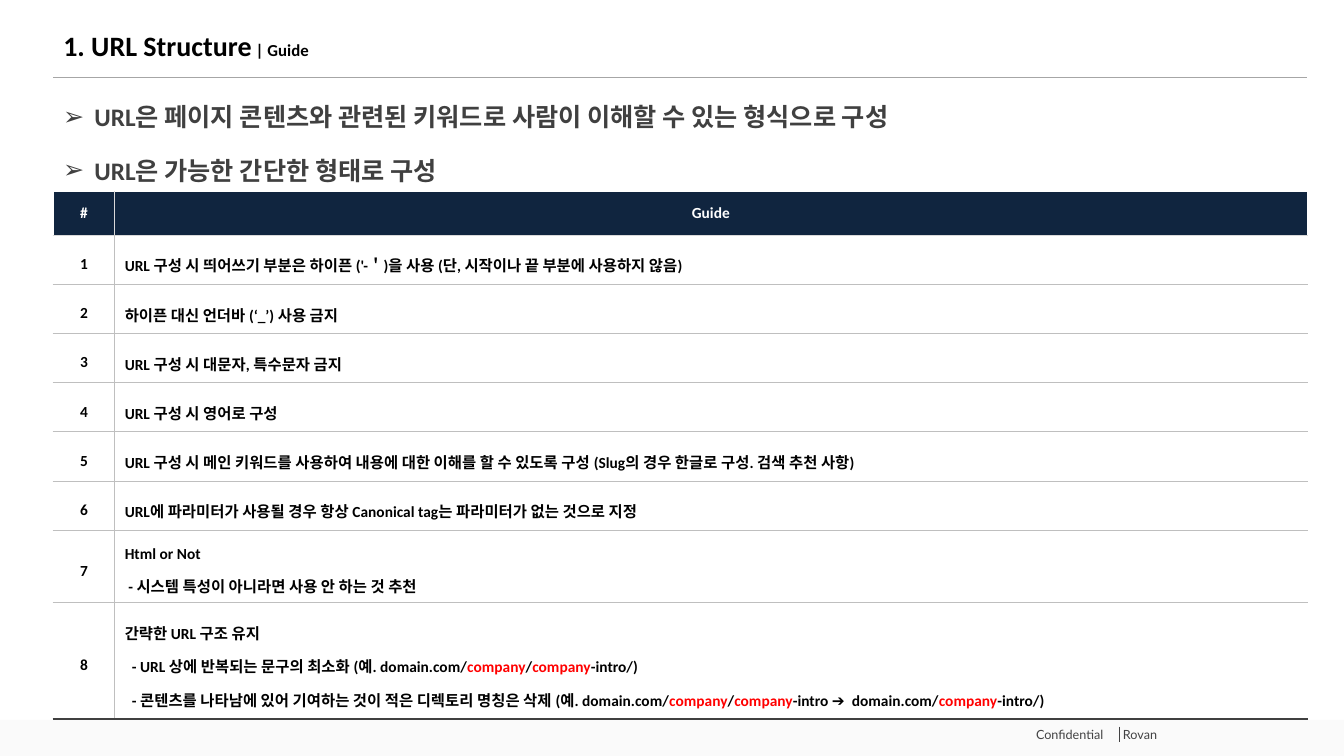
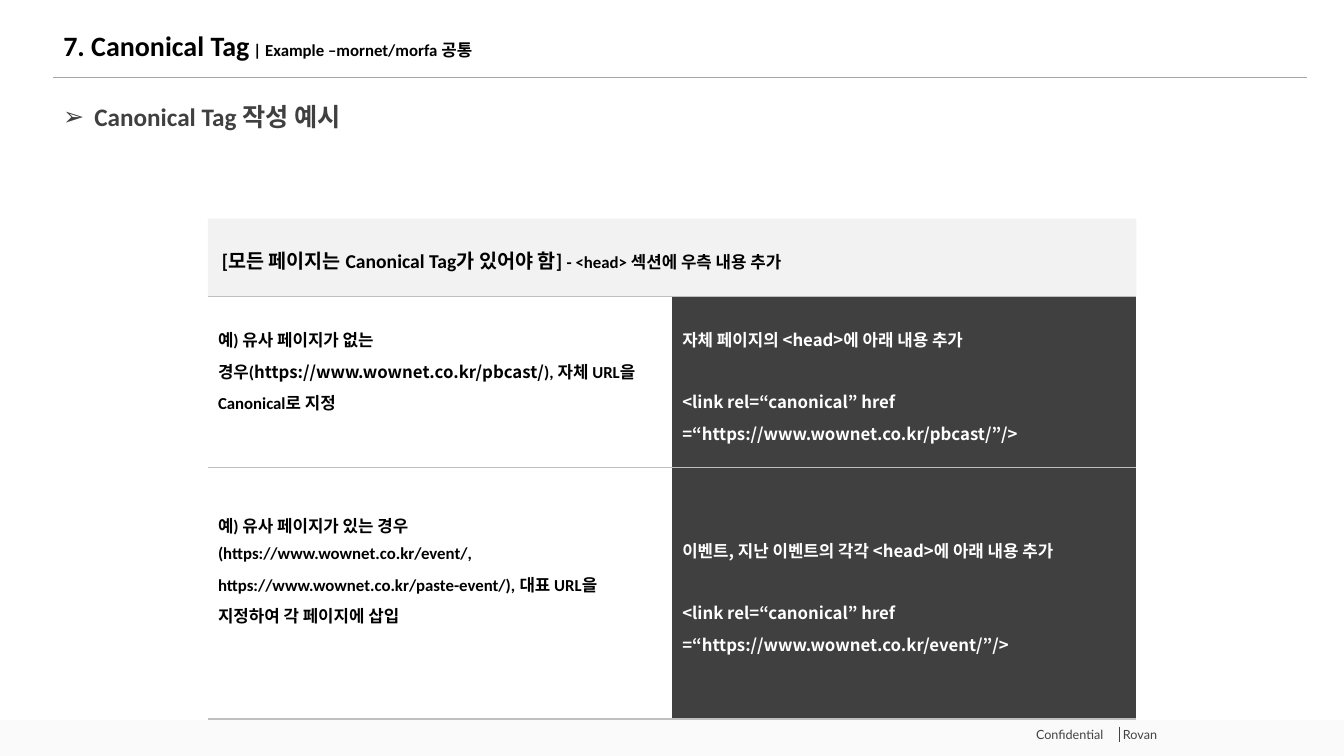
from lxml import etree
from pptx import Presentation
from pptx.dml.color import RGBColor
from pptx.enum.shapes import MSO_CONNECTOR, MSO_SHAPE
from pptx.enum.text import MSO_ANCHOR, MSO_AUTO_SIZE, PP_ALIGN
from pptx.oxml.ns import qn
from pptx.util import Cm, Pt

LEFT, CENTER = PP_ALIGN.LEFT, PP_ALIGN.CENTER
MIDDLE = MSO_ANCHOR.MIDDLE
RECT, STRAIGHT = MSO_SHAPE.RECTANGLE, MSO_CONNECTOR.STRAIGHT

LATIN, HANGUL = "Calibri", "Noto Sans CJK KR"
BLACK, WHITE, RED, NAVY = "000000", "FFFFFF", "FF0000", "10253F"
CHARCOAL, FOOTER_INK, FOOTER_BAND = "404040", "424243", "FAFAFA"
RULE, GRID, HEADER_GRID, PANEL = "A6A6A6", "BFBFBF", "D9D9D9", "F2F2F2"

SLIDE_W, SLIDE_H = 33.87, 19.05
MARGIN, CONTENT_W = 1.34, 31.6
FOOTER_Y = 18.14


def rgb(value):
    return RGBColor.from_string(value)


def box(*lengths):
    return [Cm(v) for v in lengths]


def write(p, runs, size=11, color=BLACK, bold=True, font=LATIN, **paragraph):
    """Fill a paragraph with runs; a run is a string or (string, overrides)."""
    for name, value in paragraph.items():
        setattr(p, name, value)
    for run in [runs] if isinstance(runs, str) else runs:
        text, changes = (run, {}) if isinstance(run, str) else run
        style = {"size": size, "color": color, "bold": bold, "font": font} | changes
        r = p.add_run()
        r.text = text
        values = {"size": Pt(style["size"]), "bold": style["bold"], "name": style["font"]}
        for name, value in values.items():
            setattr(r.font, name, value)
        r.font.color.rgb = rgb(style["color"])
        etree.SubElement(r.font._element, qn("a:ea"), typeface=HANGUL)


def with_paragraphs(tf, items):
    """Yield index, paragraph and item, adding paragraphs after the first."""
    for i, item in enumerate(items):
        yield i, tf.add_paragraph() if i else tf.paragraphs[0], item


def indent(p, left, hanging=0):
    pPr = p._p.get_or_add_pPr()
    pPr.set("marL", str(Cm(left)))
    pPr.set("indent", str(-Cm(hanging)))
    return pPr


def add_rect(s, bounds, fill):
    sp = s.shapes.add_shape(RECT, *box(*bounds))
    sp.shadow.inherit = False
    sp.fill.solid()
    sp.fill.fore_color.rgb = rgb(fill)
    sp.line.fill.background()
    return sp


def add_line(s, ends, color, width):
    line = s.shapes.add_connector(STRAIGHT, *box(*ends))
    line.line.color.rgb = rgb(color)
    line.line.width = Pt(width)
    etree.SubElement(line._element.spPr, qn("a:effectLst"))


def add_text_box(s, bounds):
    tf = s.shapes.add_textbox(*box(*bounds)).text_frame
    tf.word_wrap = True
    return tf


def add_footer(s, y):
    add_rect(s, (0, y, SLIDE_W, SLIDE_H - y), FOOTER_BAND)
    add_line(s, (28.2, y + 0.17, 28.2, y + 0.55), FOOTER_INK, 0.5)
    p = add_text_box(s, (25.86, y + 0.05, 5.26, 0.64)).paragraphs[0]
    tabs = etree.SubElement(p._p.get_or_add_pPr(), qn("a:tabLst"))
    etree.SubElement(tabs, qn("a:tab"), pos=str(Cm(2.19)), algn="l")
    write(p, "Confidential\tRovan", size=9, color=FOOTER_INK, bold=False, font="Lato")


def add_title(s, heading, detail):
    title = s.shapes.title
    title.left, title.top, title.width, title.height = box(MARGIN, 0.55, CONTENT_W, 1.3)
    tf = title.text_frame
    tf.auto_size, tf.vertical_anchor = MSO_AUTO_SIZE.NONE, MIDDLE
    write(tf.paragraphs[0], [heading, (f" | {detail}", {"size": 12})],
          size=20, alignment=LEFT, line_spacing=0.9)
    add_line(s, (MARGIN, 1.96, MARGIN + CONTENT_W, 1.96), RULE, 1)


def add_key_points(s, points):
    tf = add_text_box(s, (MARGIN, 2.21, CONTENT_W, 2.6))
    for i, p, point in with_paragraphs(tf, points):
        pPr = indent(p, 0.79, 0.79)
        etree.SubElement(pPr, qn("a:buFont"), typeface="Arial")
        etree.SubElement(pPr, qn("a:buChar"), char="➢")
        write(p, point, size=18, color=CHARCOAL, line_spacing=1.3,
              space_before=Pt(10 if i else 0))


def add_page(prs, heading, detail, points):
    s = prs.slides.add_slide(prs.slide_layouts[5])
    add_footer(s, FOOTER_Y)
    add_title(s, heading, detail)
    add_key_points(s, points)
    return s


def add_plain_table(s, x, y, widths, heights):
    frame = s.shapes.add_table(len(heights), len(widths),
                               *box(x, y, sum(widths), sum(heights)))
    table = frame.table
    table.first_row = table.horz_banding = False
    for column, width in zip(table.columns, widths):
        column.width = Cm(width)
    for row, height in zip(table.rows, heights):
        row.height = Cm(height)
    return table


def format_cell(cell, fill=None, **borders):
    """Set the fill and the borders L, R, T, B, each (colour, points) or None."""
    cell.vertical_anchor = MIDDLE
    if fill:
        cell.fill.solid()
        cell.fill.fore_color.rgb = rgb(fill)
    else:
        cell.fill.background()
    tcPr = cell._tc.get_or_add_tcPr()
    for i, side in enumerate("LRTB"):
        border = borders.get(side)
        ln = etree.Element(qn(f"a:ln{side}"))
        if border:
            ln.set("w", str(Pt(border[1])))
            paint = etree.SubElement(ln, qn("a:solidFill"))
            etree.SubElement(paint, qn("a:srgbClr"), val=border[0])
        else:
            etree.SubElement(ln, qn("a:noFill"))
        tcPr.insert(i, ln)


def add_guide_table(s, x, y, guides):
    """Each guide is (row height, sub-item indent, paragraphs)."""
    heights = [1.09] + [height for height, _, _ in guides]
    table = add_plain_table(s, x, y, [1.55, 30.05], heights)
    edge, thin, head = (WHITE, 1), (GRID, 0.5), (HEADER_GRID, 0.5)
    for col, label in enumerate(("#", "Guide")):
        cell = table.cell(0, col)
        sides = {"L": head, "R": edge} if col else {"L": edge, "R": head}
        format_cell(cell, NAVY, T=edge, B=head, **sides)
        write(cell.text_frame.paragraphs[0], label, color=WHITE, alignment=CENTER)
    for row, (_, sub_indent, lines) in enumerate(guides, 1):
        top = head if row == 1 else thin
        bottom = (CHARCOAL, 1.5) if row == len(guides) else thin
        number, guide = table.cell(row, 0), table.cell(row, 1)
        format_cell(number, L=edge, R=thin, T=top, B=bottom)
        format_cell(guide, L=thin, R=edge, T=top, B=bottom)
        write(number.text_frame.paragraphs[0], str(row),
              alignment=CENTER, line_spacing=1.5)
        for i, p, line in with_paragraphs(guide.text_frame, lines):
            if i:
                indent(p, sub_indent)
            write(p, line, line_spacing=1.5)


def add_example_panel(s, x, y, w, heading, examples):
    """Each example is (row height, bottom margin, case, tag paragraphs)."""
    header_h = 1.96
    sp = add_rect(s, (x, y, w, header_h), PANEL)
    tf = sp.text_frame
    tf.word_wrap, tf.vertical_anchor, tf.margin_left = True, MIDDLE, Cm(0.35)
    write(tf.paragraphs[0], heading, size=12, alignment=LEFT, line_spacing=1.3)

    table = add_plain_table(s, x, y + header_h, [w / 2] * 2, [e[0] for e in examples])
    line = (GRID, 1)
    for row, (_, bottom_margin, case, tag) in enumerate(examples):
        left, right = table.cell(row, 0), table.cell(row, 1)
        format_cell(left, WHITE, T=line, B=line)
        format_cell(right, CHARCOAL, T=line, B=line)
        left.margin_bottom = Cm(bottom_margin)
        write(left.text_frame.paragraphs[0], case, size=12, line_spacing=1.3)
        for i, p, text in with_paragraphs(right.text_frame, tag):
            write(p, text, size=12, color=WHITE, font=HANGUL, line_spacing=1.3,
                  space_before=Pt(22 if i else 0))


def url_structure_slide(prs):
    s = add_page(prs, "1. URL Structure", "Guide", [
        "URL은 페이지 콘텐츠와 관련된 키워드로 사람이 이해할 수 있는 형식으로 구성",
        "URL은 가능한 간단한 형태로 구성"])
    single_lines = [
        "URL 구성 시 띄어쓰기 부분은 하이픈 ('-＇)을 사용 (단, 시작이나 끝 부분에 사용하지 않음)",
        "하이픈 대신 언더바 (‘_’) 사용 금지",
        "URL 구성 시 대문자, 특수문자 금지",
        "URL 구성 시 영어로 구성",
        "URL 구성 시 메인 키워드를 사용하여 내용에 대한 이해를 할 수 있도록 구성 "
        "(Slug의 경우 한글로 구성. 검색 추천 사항)",
        "URL에 파라미터가 사용될 경우 항상 Canonical tag는 파라미터가 없는 것으로 지정"]
    company = ("company", {"color": RED})
    guides = [(1.24, 0, [line]) for line in single_lines] + [
        (1.81, 0.09, ["Html or Not", "- 시스템 특성이 아니라면 사용 안 하는 것 추천"]),
        (2.95, 0.18, [
            "간략한 URL 구조 유지",
            ["- URL 상에 반복되는 문구의 최소화 (예. domain.com/",
             company, "/", company, "-intro/)"],
            ["- 콘텐츠를 나타남에 있어 기여하는 것이 적은 디렉토리 명칭은 삭제 (예. domain.com/",
             company, "/", company, "-intro ➔ domain.com/", company, "-intro/)"]])]
    add_guide_table(s, MARGIN, 4.83, guides)


def canonical_tag_slide(prs):
    s = add_page(prs, "7. Canonical Tag", "Example –mornet/morfa 공통",
                 ["Canonical Tag 작성 예시"])
    heading = [("[모든 페이지는 Canonical Tag가 있어야 함] ", {"size": 14}),
               "- <head> 섹션에 우측 내용 추가"]
    examples = [
        (4.32, 0.88,
         ["예) 유사 페이지가 없는 경우(",
          ("https://www.wownet.co.kr/pbcast/", {"font": HANGUL}),
          "), 자체 URL을 Canonical로 지정"],
         ["자체 페이지의 <head>에 아래 내용 추가",
          "<link rel=“canonical” href =“https://www.wownet.co.kr/pbcast/”/>"]),
        (6.33, 1.47,
         "예) 유사 페이지가 있는 경우 (https://www.wownet.co.kr/event/, "
         "https://www.wownet.co.kr/paste-event/), 대표 URL을 지정하여 각 페이지에 삽입",
         ["이벤트, 지난 이벤트의 각각 <head>에 아래 내용 추가",
          "<link rel=“canonical” href =“https://www.wownet.co.kr/event/”/>"])]
    add_example_panel(s, 5.24, 5.51, 23.4, heading, examples)


def main():
    prs = Presentation()
    prs.slide_width, prs.slide_height = box(SLIDE_W, SLIDE_H)
    url_structure_slide(prs)
    canonical_tag_slide(prs)
    prs.save("out.pptx")


if __name__ == "__main__":
    main()
